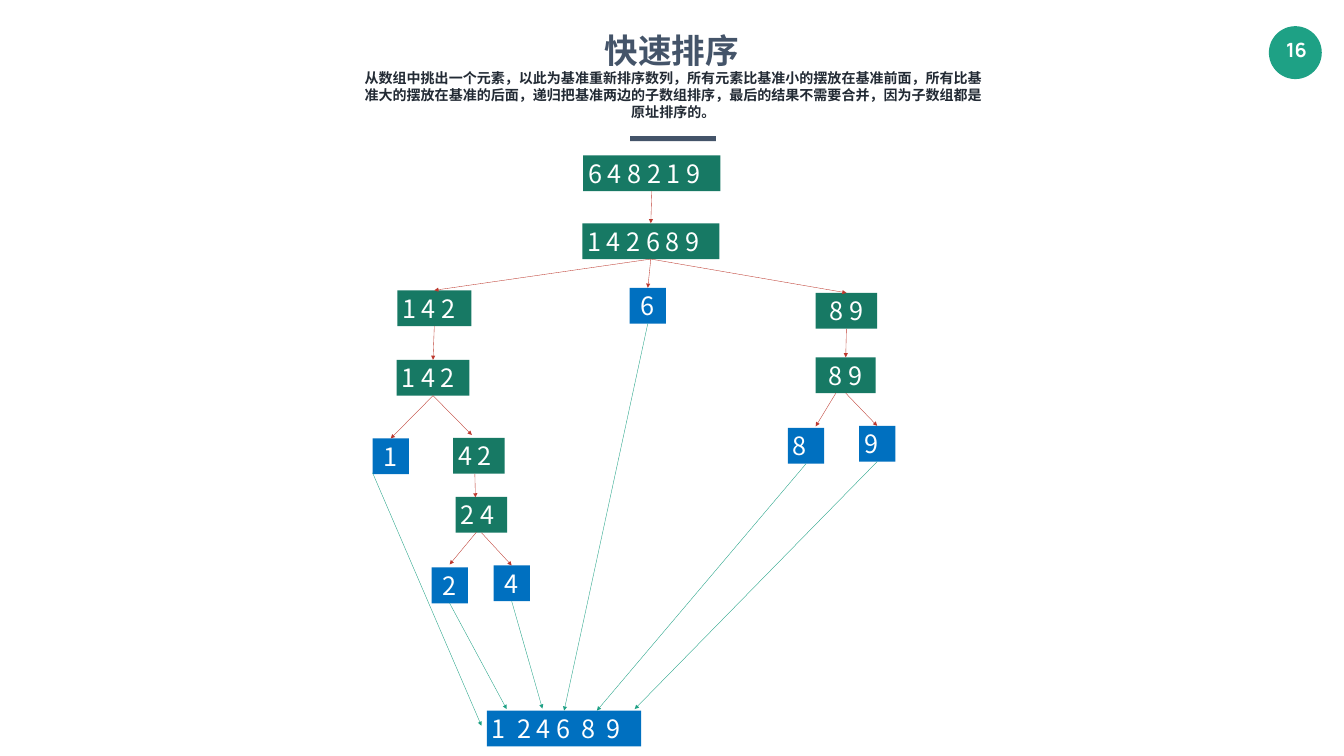
from lxml import etree
from pptx import Presentation
from pptx.dml.color import RGBColor
from pptx.enum.shapes import MSO_CONNECTOR, MSO_SHAPE
from pptx.enum.text import MSO_ANCHOR, PP_ALIGN
from pptx.oxml.ns import qn
from pptx.util import Pt

STRAIGHT = MSO_CONNECTOR.STRAIGHT
RECT, OVAL = MSO_SHAPE.RECTANGLE, MSO_SHAPE.OVAL
MIDDLE, TOP = MSO_ANCHOR.MIDDLE, MSO_ANCHOR.TOP
LEFT, CENTER = PP_ALIGN.LEFT, PP_ALIGN.CENTER
CJK = "Noto Sans CJK SC"
SLATE, TEAL, GREEN, BLUE, RED = "445469", "1EA185", "177964", "0070C0", "BD392F"
rgb = RGBColor.from_string


def write(sp, text, size, color, font=CJK, bold=False, align=CENTER, anchor=MIDDLE):
    tf = sp.text_frame
    tf.text = text
    tf.word_wrap = True
    tf.vertical_anchor = anchor
    p = tf.paragraphs[0]
    p.alignment = align
    r = p.runs[0]
    r.font.size, r.font.bold, r.font.name = Pt(size), bold, font
    r.font.color.rgb = rgb(color)
    # Chinese characters take their font from a:ea
    etree.SubElement(r.font._element, qn("a:ea"), typeface=CJK)
    return p


def block(kind, x, y, w, h, color):
    sp = s.shapes.add_shape(kind, Pt(x), Pt(y), Pt(w), Pt(h))
    sp.shadow.inherit = False
    sp.fill.solid()
    sp.fill.fore_color.rgb = rgb(color)
    sp.line.fill.background()
    return sp


prs = Presentation()
prs.slide_width, prs.slide_height = Pt(1919.52), Pt(1080)
s = prs.slides.add_slide(prs.slide_layouts[5])

# Title, explanation and rule
title = s.shapes.title
title.left, title.top, title.width, title.height = Pt(473), Pt(38.2), Pt(973.4), Pt(65.5)
write(title, "快速排序", 48, SLATE, bold=True)

note = s.shapes.add_textbox(Pt(502.6), Pt(90.7), Pt(918), Pt(103.7))
p = write(note, "从数组中挑出一个元素，以此为基准重新排序数列，所有元素比基准小的摆放在基准前面，"
          "所有比基准大的摆放在基准的后面，递归把基准两边的子数组排序，最后的结果不需要合并，"
          "因为子数组都是原址排序的。", 20, "222A34", "Open Sans", True, anchor=TOP)
p.line_spacing, p.space_before = 1.0, Pt(4)
tf = note.text_frame
tf.margin_left = tf.margin_right = Pt(17.3)
tf.margin_top = tf.margin_bottom = Pt(8.6)

block(RECT, 900, 194.4, 122.4, 7.2, SLATE)

# Page number
block(OVAL, 1812.2, 37.4, 75.6, 75.6, TEAL)
number = s.shapes.add_textbox(Pt(1816.6), Pt(47.5), Pt(69.8), Pt(48.2))
write(number, "16", 28, "FFFFFF", "Manrope", True)

# Arrays: green is still being sorted, blue is in its final place
arrays = [
    # name, text, left, top, width, colour, alignment
    ("input", "6 4 8 2 1 9", 833, 221.8, 195.8, GREEN, LEFT),
    ("split", "1 4 2 6 8 9", 831.6, 319, 195.8, GREEN, LEFT),
    ("low", "1 4 2", 567.4, 414.7, 105.8, GREEN, LEFT),
    ("low split", "1 4 2", 566.6, 514.1, 103.7, GREEN, LEFT),
    ("pair", "4 2", 647.3, 625.7, 73.4, GREEN, LEFT),
    ("pair split", "2 4", 650.9, 709.9, 73.4, GREEN, LEFT),
    ("high", "8 9", 1165, 418.3, 87.8, GREEN, CENTER),
    ("high split", "8 9", 1165, 510.5, 85.7, GREEN, CENTER),
    ("1", "1", 532.1, 626.4, 51.8, BLUE, CENTER),
    ("2", "2", 616.3, 810.7, 51.8, BLUE, CENTER),
    ("4", "4", 704.9, 807.8, 51.8, BLUE, CENTER),
    ("6", "6", 899.3, 411.1, 51.8, BLUE, CENTER),
    ("8", "8", 1125.4, 611.3, 51.8, BLUE, LEFT),
    ("9", "9", 1226.9, 608.4, 51.8, BLUE, LEFT),
    ("sorted", "1  2 4 6  8  9", 695.5, 1015.2, 220.3, BLUE, LEFT),
]
boxes = {}
for name, text, x, y, w, color, align in arrays:
    boxes[name] = block(RECT, x, y, w, 51.1, color)
    write(boxes[name], text, 36, "FFFFFF", align=align)

# Arrows: an end is a box name (joined bottom to top) or a free point
arrows = [
    ("input", "split", RED),
    ("split", "low", RED),
    ("split", "6", RED),
    ("split", "high", RED),
    ("low", "low split", RED),
    ("high", "high split", RED),
    ("low split", "1", RED),
    ("low split", (673.9, 621.4), RED),
    ((678.2, 676.8), (679, 710.6), RED),
    ((680.4, 760.3), (642.2, 806.4), RED),
    ("pair split", "4", RED),
    ((1193.8, 561.6), (1165, 609.1), RED),
    ("high split", "9", RED),
    ((532.1, 675.4), (687.6, 1036.8), TEAL),
    ("2", (723.6, 1013), TEAL),
    ("4", (774.7, 1012.3), TEAL),
    ("6", (805.7, 1015.2), TEAL),
    ("8", (852.5, 1015.2), TEAL),
    ("9", (906.5, 1013), TEAL),
]
for start, end, color in arrows:
    x1, y1 = (0, 0) if start in boxes else start
    x2, y2 = (0, 0) if end in boxes else end
    c = s.shapes.add_connector(STRAIGHT, Pt(x1), Pt(y1), Pt(x2), Pt(y2))
    if start in boxes:
        c.begin_connect(boxes[start], 2)
    if end in boxes:
        c.end_connect(boxes[end], 0)
    c.line.color.rgb = rgb(color)
    c.line.width = Pt(0.5)
    etree.SubElement(c.line._get_or_add_ln(), qn("a:tailEnd"), type="triangle")
    etree.SubElement(c._element.spPr, qn("a:effectLst"))

prs.save("out.pptx")
